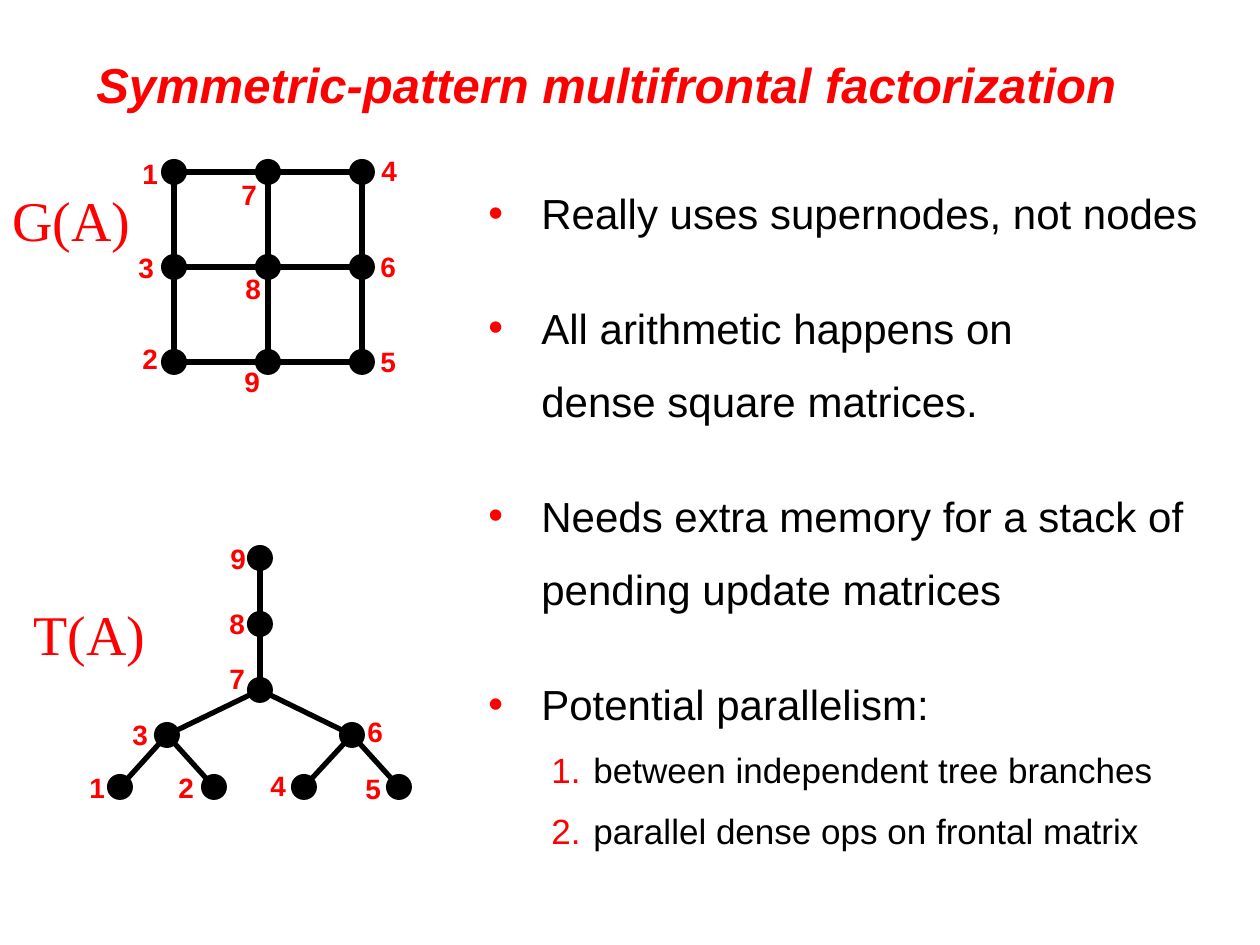
from lxml import etree
from pptx import Presentation
from pptx import util as u
from pptx.dml.color import RGBColor
from pptx.enum import shapes, text
from pptx.oxml.ns import qn

PX = 914400 / 126
COLORS = {"accent": "FF0000", "ink": "000000"}


def px(length):
    return u.Emu(round(length * PX))


class Board:
    sans = "Arial"
    serif = "Times New Roman"
    dot_size = 26
    line_width = 3
    leading = 1.46

    def __init__(self, slide):
        self.slide = slide

    def run(self, paragraph, words, size, color="accent", font=sans, bold=False, italic=False):
        run = paragraph.add_run()
        run.text = words
        run.font.size = u.Pt(size)
        run.font.name = font
        run.font.bold = bold
        run.font.italic = italic
        run.font.color.rgb = RGBColor.from_string(COLORS[color])

    def frame(self, left, top, width, height, wrap=True):
        box = self.slide.shapes.add_textbox(px(left), px(top), px(width), px(height))
        box.text_frame.word_wrap = wrap
        return box.text_frame

    def title(self, words, *area):
        frame = self.frame(*area)
        frame.vertical_anchor = text.MSO_ANCHOR.MIDDLE
        self.run(frame.paragraphs[0], words, 28, bold=True, italic=True)

    def label(self, words, left, top, width=40, height=47, **style):
        frame = self.frame(left, top, width, height, wrap=False)
        frame.auto_size = text.MSO_AUTO_SIZE.SHAPE_TO_FIT_TEXT
        self.run(frame.paragraphs[0], words, **style)

    def number(self, digit, left, top):
        self.label(str(digit), left, top, size=16, bold=True)

    def name(self, words, *area):
        self.label(words, *area, size=32, font=self.serif)

    def edge(self, start, end):
        line = self.slide.shapes.add_connector(
            shapes.MSO_CONNECTOR.STRAIGHT, *map(px, (*start, *end)))
        line.line.width = u.Pt(self.line_width)
        line.line.color.rgb = RGBColor.from_string(COLORS["ink"])
        etree.SubElement(line._element.spPr, qn("a:effectLst"))

    def vertex(self, center):
        left, top = (c - self.dot_size / 2 for c in center)
        dot = self.slide.shapes.add_shape(
            shapes.MSO_SHAPE.OVAL, px(left), px(top), px(self.dot_size), px(self.dot_size))
        dot.shadow.inherit = False
        dot.fill.solid()
        dot.fill.fore_color.rgb = RGBColor.from_string(COLORS["ink"])
        dot.line.fill.background()

    def graph(self, edges, vertices, numbers):
        for start, end in edges:
            self.edge(start, end)
        for center in vertices:
            self.vertex(center)
        for digit, corner in numbers.items():
            self.number(digit, *corner)

    def item(self, paragraph, lines, size, margin, hanging, marker, before=0):
        props = paragraph._p.get_or_add_pPr()
        props.set("marL", str(px(margin)))
        props.set("indent", str(-px(hanging)))
        tint = etree.SubElement(props, qn("a:buClr"))
        etree.SubElement(tint, qn("a:srgbClr"), val=COLORS["accent"])
        etree.SubElement(props, qn("a:buFont"), typeface=self.sans)
        tag, key, value = marker
        etree.SubElement(props, qn(tag)).set(key, value)
        paragraph.line_spacing = self.leading
        paragraph.space_before = u.Pt(before)
        for index, words in enumerate(lines):
            if index:
                paragraph.add_line_break()
            self.run(paragraph, words, size, "ink")

    def outline(self, points, steps, *area):
        frame = self.frame(*area)
        for index, lines in enumerate(points):
            paragraph = frame.add_paragraph() if index else frame.paragraphs[0]
            self.item(paragraph, lines, 24, 53, 53, ("a:buChar", "char", "•"),
                      before=23.5 if index else 0)
        for words in steps:
            self.item(frame.add_paragraph(), [words], 20, 105, 42,
                      ("a:buAutoNum", "type", "arabicPeriod"))


GRID_X = [174 + 94 * column for column in range(3)]
GRID_Y = [172 + 95 * row for row in range(3)]
GRID_EDGES = ([((x, GRID_Y[0]), (x, GRID_Y[-1])) for x in GRID_X]
              + [((GRID_X[0], y), (GRID_X[-1], y)) for y in GRID_Y])
GRID_NUMBERS = {
    1: (130, 150), 2: (130, 335), 3: (126, 244),
    4: (369, 147), 5: (368, 338), 6: (368, 243),
    7: (229, 171), 8: (233, 265), 9: (232, 358),
}

TREE = {
    1: (120, 787), 2: (214, 787), 3: (167, 735),
    4: (304, 787), 5: (399, 787), 6: (352, 735),
    7: (260, 690), 8: (260, 624), 9: (260, 558),
}
PARENTS = {1: 3, 2: 3, 3: 7, 4: 6, 5: 6, 6: 7, 7: 9}
TREE_NUMBERS = {
    1: (77, 764), 2: (166, 764), 3: (120, 711),
    4: (258, 762), 5: (353, 765), 6: (355, 708),
    7: (217, 655), 8: (217, 600), 9: (218, 535),
}

POINTS = [
    ["Really uses supernodes, not nodes"],
    ["All arithmetic happens on", "dense square matrices."],
    ["Needs extra memory for a stack of pending update matrices"],
    ["Potential parallelism:"],
]
STEPS = ["between independent tree branches", "parallel dense ops on frontal matrix"]


def main():
    deck = Presentation()
    deck.slide_width, deck.slide_height = px(1260), px(945)
    board = Board(deck.slides.add_slide(deck.slide_layouts[6]))

    board.title("Symmetric-pattern multifrontal factorization", 84, 42, 1103, 84)
    board.name("T(A)", 21, 593, 151, 81)
    board.graph([(TREE[child], TREE[parent]) for child, parent in PARENTS.items()],
                TREE.values(), TREE_NUMBERS)
    board.name("G(A)", 0, 179, 158, 81)
    board.graph(GRID_EDGES, [(x, y) for y in GRID_Y for x in GRID_X], GRID_NUMBERS)
    board.outline(POINTS, STEPS, 476, 158, 756, 714)

    deck.save("out.pptx")


if __name__ == "__main__":
    main()
